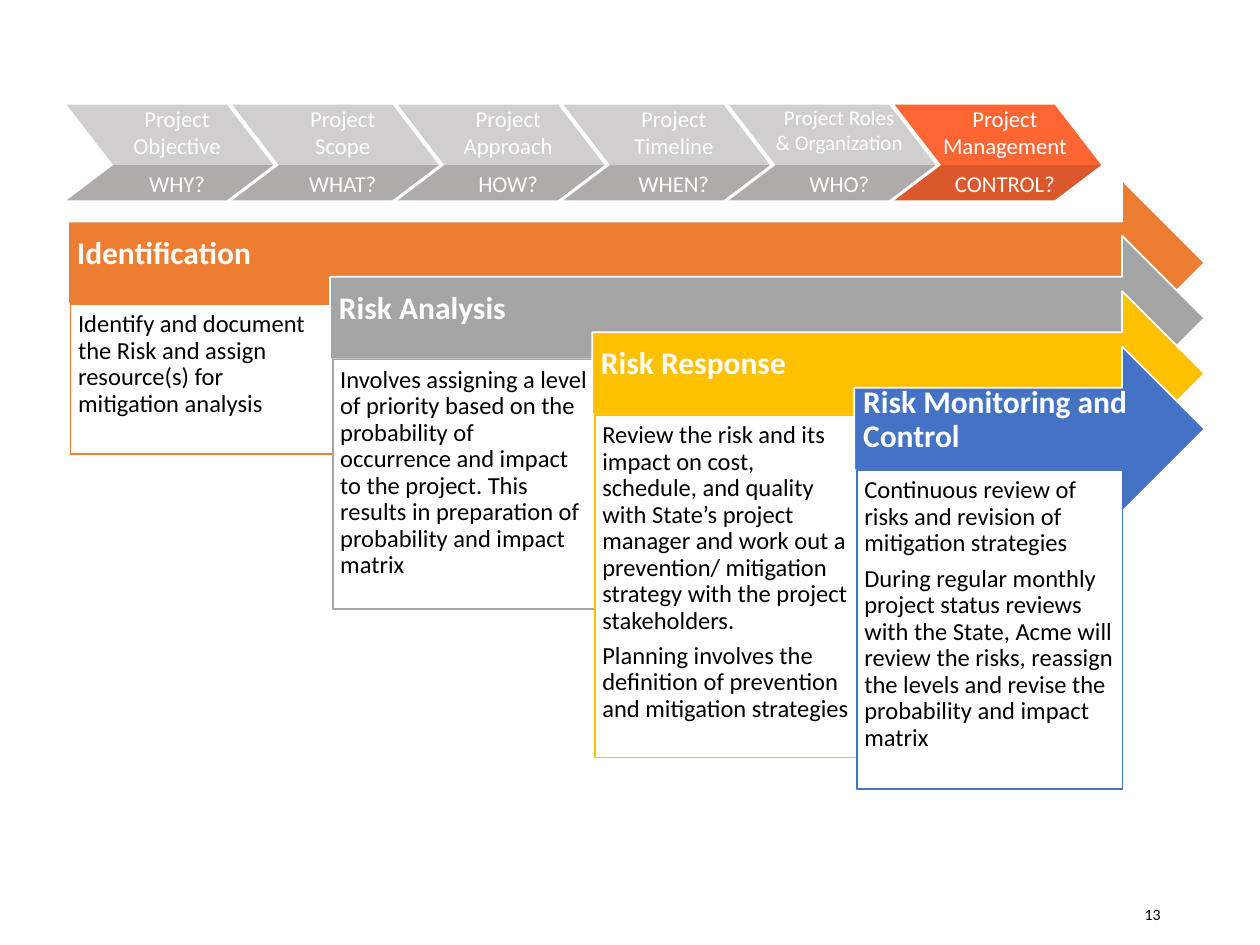
from pptx import Presentation
from pptx.dml.color import RGBColor
from pptx.enum.shapes import MSO_SHAPE
from pptx.enum.text import MSO_ANCHOR, PP_ALIGN
from pptx.util import Inches, Pt

ARROW, RECT = MSO_SHAPE.RIGHT_ARROW, MSO_SHAPE.RECTANGLE
TOP, MIDDLE = MSO_ANCHOR.TOP, MSO_ANCHOR.MIDDLE
LEFT, CENTER, RIGHT = PP_ALIGN.LEFT, PP_ALIGN.CENTER, PP_ALIGN.RIGHT
FONT = "Calibri"
WHITE, BLACK = "FFFFFF", "000000"
GREY, DARK_GREY = "D0CECE", "AFABAB"
ORANGE, DARK_ORANGE = "FF6633", "DB582C"

# lines of the label, question, label size
PHASES = [
    (["Project", "Objective"], "WHY?", 13),
    (["Project", "Scope"], "WHAT?", 13),
    (["Project", "Approach"], "HOW?", 13),
    (["Project", "Timeline"], "WHEN?", 13),
    (["Project Roles", "& Organization"], "WHO?", 12),
    (["Project", "Management"], "CONTROL?", 13),
]

# title, colour, width and height of the description, paragraphs
STEPS = [
    ("Identification", "ED7D31", 2.08, 1.19,
     ["Identify and document the Risk and assign resource(s) for mitigation analysis"]),
    ("Risk Analysis", "A5A5A5", 2.08, 1.98,
     ["Involves assigning a level of priority based on the probability of occurrence "
      "and impact to the project. This results in preparation of probability and "
      "impact matrix"]),
    ("Risk Response", "FFC000", 2.08, 2.72,
     ["Review the risk and its impact on cost, schedule, and quality with State’s "
      "project manager and work out a prevention/ mitigation strategy with the project "
      "stakeholders.",
      "Planning involves the definition of prevention and mitigation strategies"]),
    ("Risk Monitoring and Control", "4472C4", 2.11, 2.53,
     ["Continuous review of risks and revision of mitigation strategies",
      "During regular monthly project status reviews with the State, Acme will review "
      "the risks, reassign the levels and revise the probability and impact matrix"]),
]


def rgb(value):
    """Return the colour for a hex string."""
    return RGBColor.from_string(value)


def paint(sp, fill, line=None):
    """Set fill and outline of a shape and drop its shadow."""
    sp.shadow.inherit = False
    sp.fill.solid()
    sp.fill.fore_color.rgb = rgb(fill)
    if line:
        sp.line.color.rgb = rgb(line)
        sp.line.width = Pt(1)
    else:
        sp.line.fill.background()


def write(sp, lines, size, color, align=LEFT, anchor=TOP, bold=False,
          insets=(0.1, 0.05, 0.1, 0.05), spacing=1.0, after=0):
    """Write one paragraph per line into a shape."""
    tf = sp.text_frame
    tf.word_wrap = True
    tf.vertical_anchor = anchor
    tf.margin_left, tf.margin_top, tf.margin_right, tf.margin_bottom = map(Inches, insets)
    for i, line in enumerate(lines):
        p = tf.add_paragraph() if i else tf.paragraphs[0]
        p.alignment = align
        p.line_spacing = spacing
        p.space_after = Pt(after)
        r = p.add_run()
        r.text = line
        r.font.name = FONT
        r.font.size = Pt(size)
        r.font.bold = bold
        r.font.color.rgb = rgb(color)


def add_text(s, x, y, w, h, lines, size, color, **style):
    """Add a text box."""
    sp = s.shapes.add_textbox(Inches(x), Inches(y), Inches(w), Inches(h))
    write(sp, lines, size, color, **style)


def add_polygon(s, points, fill):
    """Add a closed outline through points in inches."""
    points = [(Inches(x), Inches(y)) for x, y in points]
    fb = s.shapes.build_freeform(*points[0], scale=1.0)
    fb.add_line_segments(points[1:], close=True)
    paint(fb.convert_to_shape(), fill)


def add_phases(s, x, y, w):
    """Add the row of two-tone chevrons, the last one highlighted."""
    chevron, notch, fold, h = 1.64, 0.37, 0.48, 0.76
    pitch = (w - chevron) / (len(PHASES) - 1)
    for i, (label, question, size) in enumerate(PHASES):
        left = x + i * pitch
        tip, shoulder = left + chevron, left + chevron - notch
        light, dark = (ORANGE, DARK_ORANGE) if i == len(PHASES) - 1 else (GREY, DARK_GREY)
        lower = [(tip, y + fold), (left + notch, y + fold), (left, y + h), (shoulder, y + h)]
        upper = [(shoulder, y), (left, y), (left + notch, y + fold), (tip, y + fold)]
        add_polygon(s, upper, light)
        add_polygon(s, lower, dark)
        add_text(s, left + 0.1, y - 0.05, 1.55, 0.54, label, size, WHITE, align=CENTER)
        add_text(s, left + 0.1, y + 0.47, 1.55, 0.32, [question], 13, WHITE, align=CENTER)


def add_steps(s, x, y, w):
    """Add the staggered arrows, each with its description below."""
    dx, dy, arrow_h = 2.08, 0.44, 1.31
    for i, (title, color, body_w, body_h, body) in enumerate(STEPS):
        left, top = x + i * dx, y + i * dy
        sp = s.shapes.add_shape(ARROW, Inches(left), Inches(top),
                                Inches(x + w - left), Inches(arrow_h))
        paint(sp, color, WHITE)
        write(sp, [title], 18, WHITE, anchor=MIDDLE, bold=True,
              insets=(0.07, 0.07, 0.26, 0.21), spacing=0.9)
        sp = s.shapes.add_shape(RECT, Inches(left + 0.02), Inches(top + arrow_h * 0.75),
                                Inches(body_w), Inches(body_h))
        paint(sp, WHITE, color)
        write(sp, body, 14, BLACK, insets=(0.06,) * 4, spacing=0.9, after=5)


def main():
    """Build the slide and save it."""
    prs = Presentation()
    prs.slide_width, prs.slide_height = Inches(10), Inches(7.5)
    s = prs.slides.add_slide(prs.slide_layouts[6])
    add_steps(s, 0.54, 1.43, 9.02)
    add_phases(s, 0.53, 0.83, 8.21)
    add_text(s, 7.06, 7.06, 2.25, 0.4, ["13"], 9, BLACK, align=RIGHT, anchor=MIDDLE)
    prs.save("out.pptx")


main()
